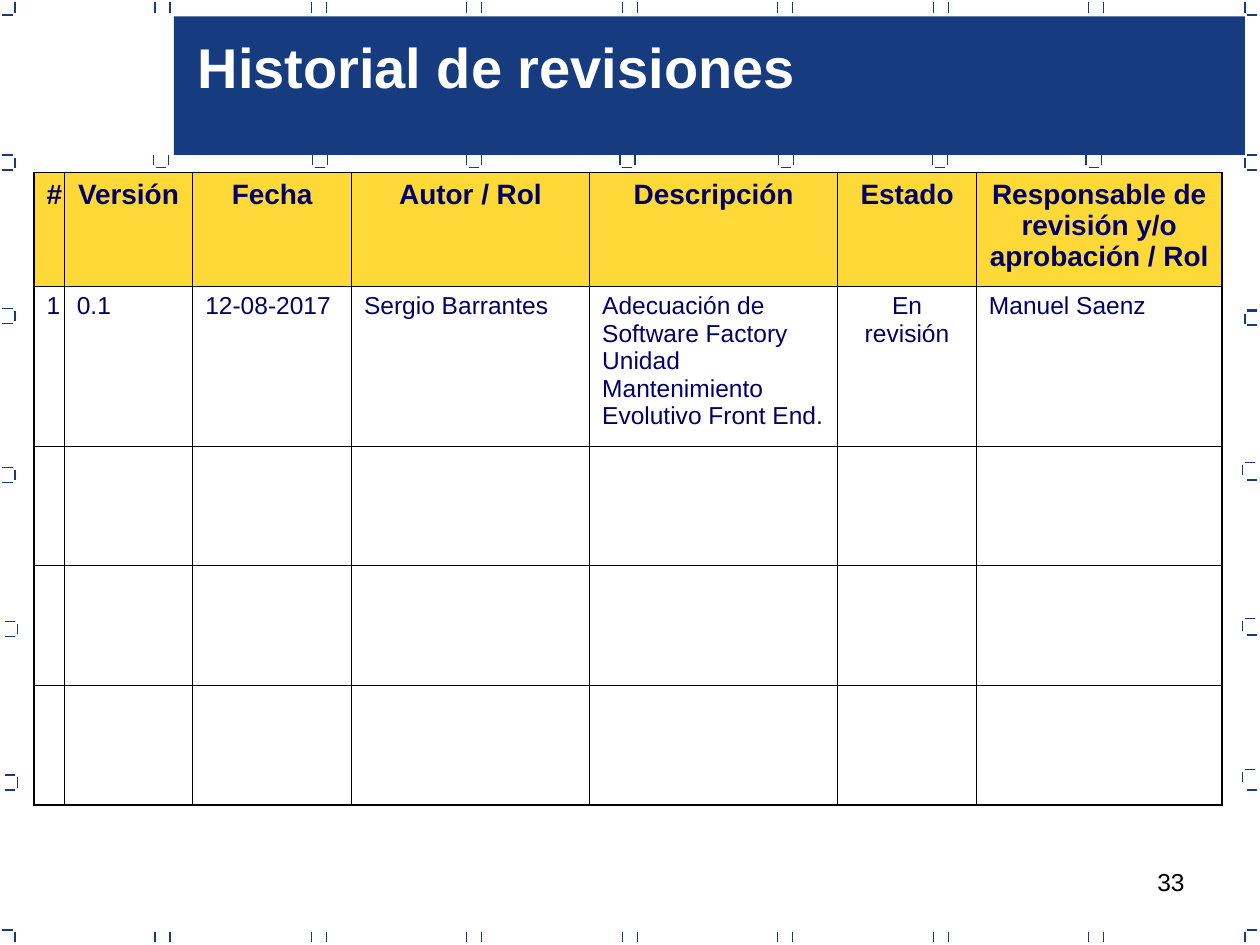
from dataclasses import dataclass
from typing import Iterator

from lxml import etree
from pptx import Presentation
from pptx.dml.color import RGBColor
from pptx.enum.shapes import MSO_CONNECTOR, MSO_SHAPE
from pptx.enum.text import MSO_AUTO_SIZE, PP_ALIGN
from pptx.oxml.ns import qn
from pptx.util import Emu, Pt

STRAIGHT = MSO_CONNECTOR.STRAIGHT
RECTANGLE = MSO_SHAPE.RECTANGLE
FIT_SHAPE = MSO_AUTO_SIZE.SHAPE_TO_FIT_TEXT
LEFT, CENTER, RIGHT = PP_ALIGN.LEFT, PP_ALIGN.CENTER, PP_ALIGN.RIGHT

EMU_PER_PX = 9144
FONT = "Arial"
BLUE, NAVY, YELLOW, WHITE, BLACK = "163B7F", "000066", "FFD937", "FFFFFF", "000000"
THIN, THICK = 0.45, 1.08
TICK = 8

LEFT_CUPS = [(2, 123), (2, 245), (2, 371), (4, 493), (4, 615)]
RIGHT_HOOKS = [(988, 123), (988, 247), (986, 367), (986, 491), (986, 611), (988, 738)]
RIGHT_DASHES = [12, 135, 246, 258, 381, 504, 627]
BANNER_CUPS = [122, 248, 370, 492, 618, 740, 862]

COLUMN_WIDTHS = [24, 102, 126, 189, 197, 110, 195]
ROW_HEIGHTS = [90, 127, 95, 95, 95]
HEADINGS = ["#", "Versión", "Fecha", "Autor / Rol", "Descripción", "Estado",
            "Responsable de revisión y/o aprobación / Rol"]
REVISION = ["1", "0.1", "12-08-2017", "Sergio Barrantes",
            "Adecuación de Software Factory Unidad Mantenimiento Evolutivo Front End.",
            "En revisión", "Manuel Saenz"]
CENTERED_COLUMNS = (0, 5)


@dataclass(frozen=True)
class Tick:
    """One short border mark, starting at x, y."""
    x: int
    y: int
    upright: bool


@dataclass(frozen=True)
class Style:
    """Look of one run of text."""
    size: int
    color: str
    bold: bool = False
    align: PP_ALIGN = LEFT


def px(length: int) -> Emu:
    """Turn px into EMU."""
    return Emu(length * EMU_PER_PX)


def rgb(color: str) -> RGBColor:
    """Turn a hex string into a colour."""
    return RGBColor.from_string(color)


def write(frame, text: str, style: Style) -> None:
    """Write one styled run into the first paragraph."""
    paragraph = frame.paragraphs[0]
    paragraph.alignment = style.align
    run = paragraph.add_run()
    run.text = text
    run.font.name = FONT
    run.font.size = Pt(style.size)
    run.font.bold = style.bold
    run.font.color.rgb = rgb(style.color)


def border_ticks() -> Iterator[Tick]:
    """Yield every mark around the slide and under the banner."""
    for index in range(1, 8):
        first = round(123.45 * index)
        for x in (first, first + 12):
            yield Tick(x, 2, True)
            yield Tick(x, 740, True)
    for x in (12, 988):
        yield Tick(x, 2, True)
    yield Tick(2, 12, False)
    yield Tick(2, 738, False)
    yield Tick(12, 740, True)
    for x, y in LEFT_CUPS:
        yield Tick(x, y, False)
        yield Tick(x + 10, y + 2, True)
        yield Tick(x, y + 12, False)
    for x, y in RIGHT_HOOKS:
        yield Tick(x, y + 2, True)
        yield Tick(x + 2, y, False)
    for y in RIGHT_DASHES:
        yield Tick(990, y, False)
    for x in BANNER_CUPS:
        yield Tick(x, 123, True)
        yield Tick(x + 12, 123, True)
        yield Tick(x + 2, 133, False)


def draw_tick(slide, tick: Tick) -> None:
    """Draw one border mark."""
    end_x = tick.x if tick.upright else tick.x + TICK
    end_y = tick.y + TICK if tick.upright else tick.y
    line = slide.shapes.add_connector(STRAIGHT, px(tick.x), px(tick.y), px(end_x), px(end_y))
    line.line.color.rgb = rgb(BLUE)
    line.line.width = Pt(0.75)
    etree.SubElement(line._element.spPr, qn("a:effectLst"))


def draw_banner(slide) -> None:
    """Draw the blue band behind the title."""
    banner = slide.shapes.add_shape(RECTANGLE, px(138), px(13), px(850), px(110))
    banner.shadow.inherit = False
    banner.fill.solid()
    banner.fill.fore_color.rgb = rgb(BLUE)
    banner.line.fill.background()


def draw_label(slide, box: tuple[int, int, int, int], text: str, style: Style,
               wrap: bool = True) -> None:
    """Draw a text box, growing with its text when it does not wrap."""
    frame = slide.shapes.add_textbox(*map(px, box)).text_frame
    frame.word_wrap = wrap
    if not wrap:
        frame.auto_size = FIT_SHAPE
    write(frame, text, style)


def set_borders(cell, row: int, column: int) -> None:
    """Give a cell black borders, thicker along the table's edge."""
    on_edge = {
        "a:lnL": column == 0,
        "a:lnR": column == len(COLUMN_WIDTHS) - 1,
        "a:lnT": row == 0,
        "a:lnB": row == len(ROW_HEIGHTS) - 1,
    }
    properties = cell._tc.get_or_add_tcPr()
    for side, outer in on_edge.items():
        line = etree.SubElement(properties, qn(side), w=str(Pt(THICK if outer else THIN)))
        fill = etree.SubElement(line, qn("a:solidFill"))
        etree.SubElement(fill, qn("a:srgbClr"), val=BLACK)


def draw_history(slide) -> None:
    """Draw the table of revisions."""
    history = slide.shapes.add_table(
        len(ROW_HEIGHTS), len(COLUMN_WIDTHS), px(27), px(137),
        px(sum(COLUMN_WIDTHS)), px(sum(ROW_HEIGHTS))).table
    history.first_row = history.horz_banding = False
    for column, width in zip(history.columns, COLUMN_WIDTHS):
        column.width = px(width)
    for row, height in zip(history.rows, ROW_HEIGHTS):
        row.height = px(height)
    for index, cell in enumerate(history.iter_cells()):
        row, column = divmod(index, len(COLUMN_WIDTHS))
        set_borders(cell, row, column)
        if row == 0:
            cell.fill.solid()
            cell.fill.fore_color.rgb = rgb(YELLOW)
            write(cell.text_frame, HEADINGS[column], Style(16, NAVY, True, CENTER))
        else:
            cell.fill.background()
        if row == 1:
            align = CENTER if column in CENTERED_COLUMNS else LEFT
            write(cell.text_frame, REVISION[column], Style(14, NAVY, align=align))


def main() -> None:
    """Build the slide and save it."""
    deck = Presentation()
    deck.slide_width, deck.slide_height = px(1000), px(750)
    slide = deck.slides.add_slide(deck.slide_layouts[6])
    draw_label(slide, (717, 683, 233, 52), "33", Style(14, BLACK, align=RIGHT))
    for tick in border_ticks():
        draw_tick(slide, tick)
    draw_banner(slide)
    draw_label(slide, (147, 21, 495, 64), "Historial de revisiones",
               Style(32, WHITE, True), wrap=False)
    draw_history(slide)
    deck.save("out.pptx")


if __name__ == "__main__":
    main()
